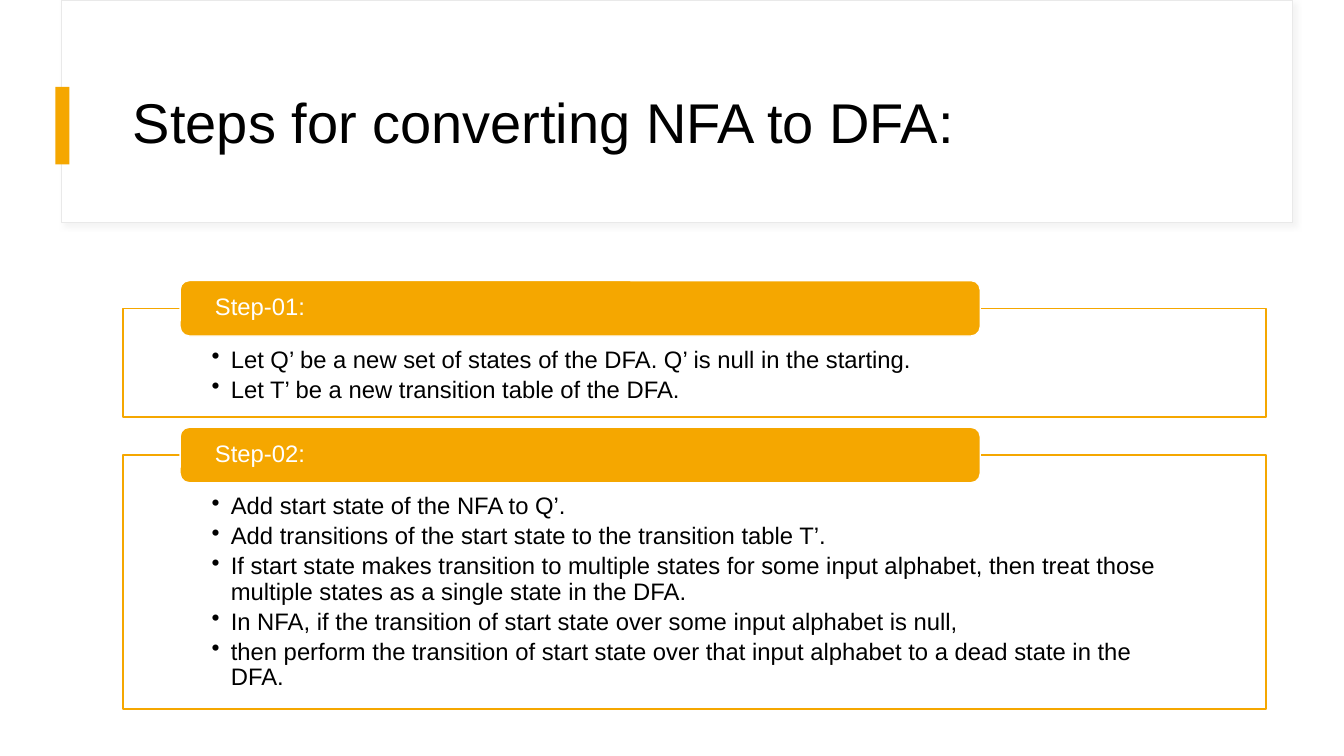
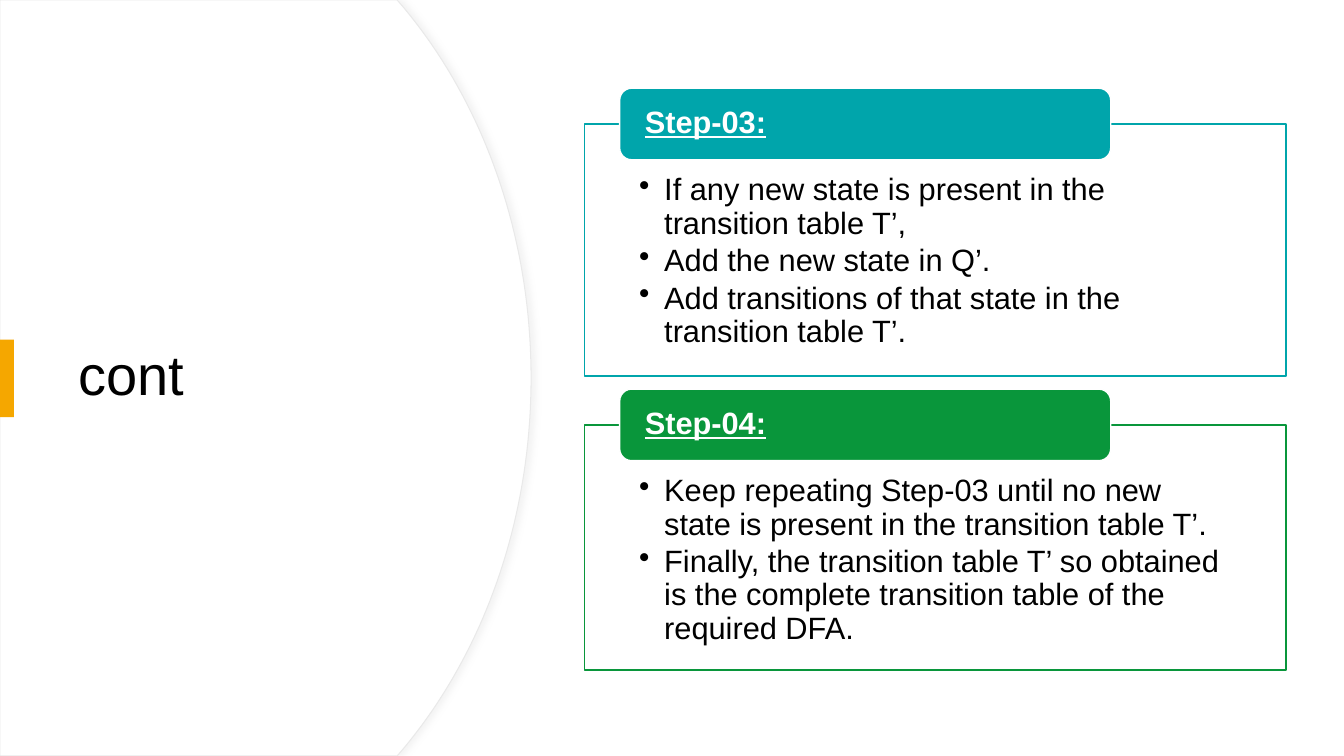
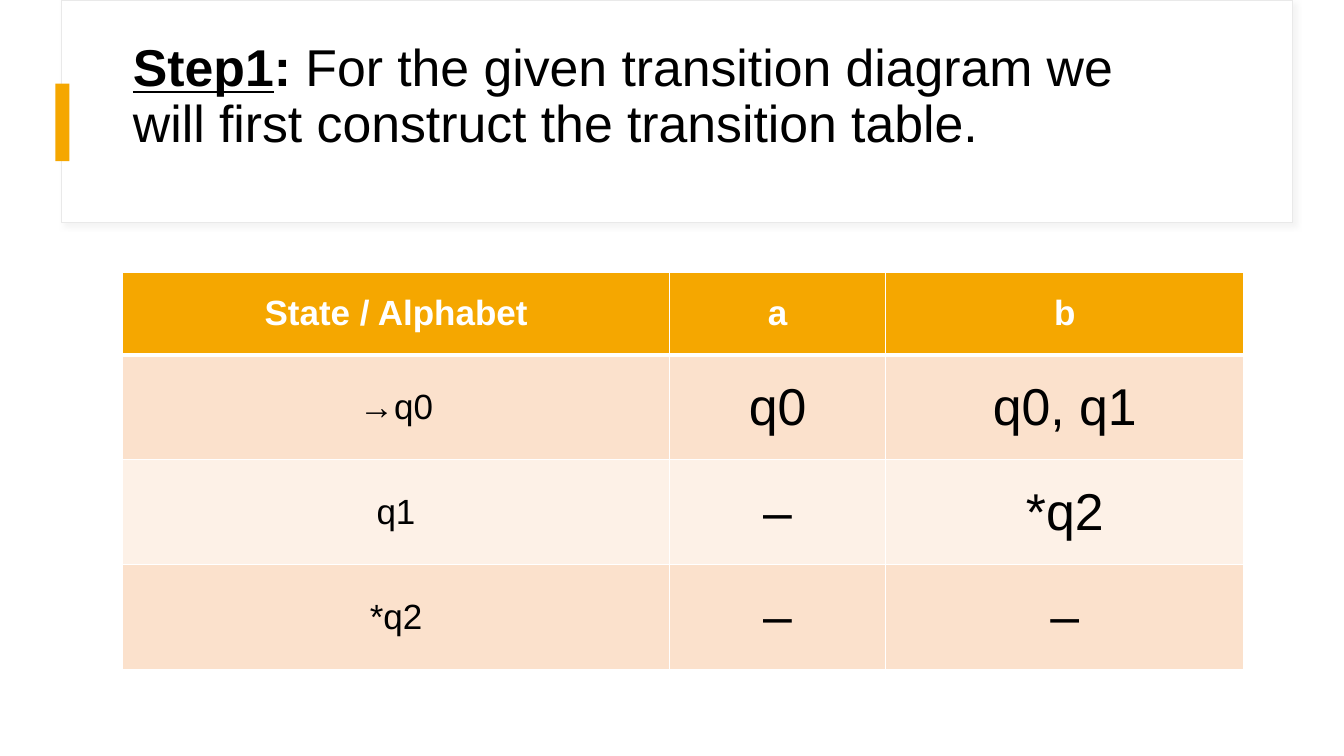
from lxml.etree import SubElement
from pptx import Presentation
from pptx.dml.color import RGBColor
from pptx.enum.shapes import MSO_SHAPE
from pptx.enum.text import MSO_ANCHOR, MSO_AUTO_SIZE, PP_ALIGN
from pptx.oxml import parse_xml
from pptx.oxml.ns import nsdecls, qn
from pptx.util import Pt

FONT = "Arial"
WHITE = RGBColor(0xFF, 0xFF, 0xFF)
BLACK = RGBColor(0x00, 0x00, 0x00)
ORANGE = RGBColor(0xF5, 0xA7, 0x00)
TEAL = RGBColor(0x00, 0xA5, 0xAB)
GREEN = RGBColor(0x09, 0x96, 0x3B)
EDGE = RGBColor(0xE9, 0xE9, 0xE9)
PEACH = RGBColor(0xFB, 0xE1, 0xCC)
PALE_PEACH = RGBColor(0xFD, 0xF1, 0xE7)

NBSP = chr(160)
SLIDE_WIDTH, SLIDE_HEIGHT = 960, 540
HEADER_BOX = (44, 0, 879, 159)
HEADER_TITLE_BOX = (87.8, 43.2, 800.6, 92.9)
SIDE_TITLE_BOX = (49, 91.4, 283.7, 356.4)

# Each title is a list of (text, bold, underline).
CONVERSION_TITLE = [("Steps for converting NFA to DFA:", False, False)]
CONTINUED_TITLE = [("cont", False, False)]
TABLE_TITLE = [
    ("Step1", True, True),
    (":" + NBSP, True, False),
    (f"For the given transition diagram we will{NBSP}first construct "
     "the transition table.", False, False),
]

# Each step is (label, colour, panel height, bullets).
FIRST_STEPS = [
    ("Step-01:", ORANGE, 77.8, [
        "Let Q’ be a new set of states of the DFA. Q’ is null in the starting.",
        "Let T’ be a new transition table of the DFA.",
    ]),
    ("Step-02:", ORANGE, 181.4, [
        "Add start state of the NFA to Q’.",
        "Add transitions of the start state to the transition table T’.",
        "If start state makes transition to multiple states for some input "
        "alphabet, then treat those multiple states as a single state in the DFA.",
        "In NFA, if the transition of start state over some input alphabet is null,",
        "then perform the transition of start state over that input alphabet "
        "to a dead state in the DFA.",
    ]),
]
LAST_STEPS = [
    ("Step-03:", TEAL, 180, [
        "If any new state is present in the transition table T’,",
        "Add the new state in Q’.",
        "Add transitions of that state in the transition table T’.",
    ]),
    ("Step-04:", GREEN, 175, [
        "Keep repeating Step-03 until no new state is present in the "
        "transition table T’.",
        "Finally, the transition table T’ so obtained is the complete "
        "transition table of the required DFA.",
    ]),
]
WIDE_STACK = dict(left=87.8, top=200.4, width=816.5, gap=7.2, tab_height=39.6,
                  size=17, indent=13.7, insets=(63.4, 28.1, 63.4, 9.4),
                  tab_inset=23, emphasis=False)
NARROW_STACK = dict(left=417.6, top=63, width=501.1, gap=9.4, tab_height=51.1,
                    size=22, indent=18, insets=(38.9, 36, 38.9, 12.2),
                    tab_inset=15.5, emphasis=True)

TRANSITIONS = [
    ("State / Alphabet", "a", "b"),
    ("→q0", "q0", "q0, q1"),
    ("q1", "–", "*q2"),
    ("*q2", "–", "–"),
]
COLUMN_WIDTHS = (390.2, 154.8, 255.6)
ROW_HEIGHTS = (59.1, 74.9, 74.9, 74.9)


def points(*lengths):
    return [Pt(length) for length in lengths]


def set_font(font, size, color, bold=False, underline=False):
    font.name, font.size = FONT, Pt(size)
    font.color.rgb = color
    font.bold, font.underline = bold, underline


def set_frame(frame, insets, anchor):
    frame.word_wrap = True
    frame.auto_size = MSO_AUTO_SIZE.NONE
    frame.vertical_anchor = anchor
    (frame.margin_left, frame.margin_top,
     frame.margin_right, frame.margin_bottom) = points(*insets)


def paint(shape, fill, line=None, width=1):
    shape.shadow.inherit = False
    shape.fill.solid()
    shape.fill.fore_color.rgb = fill
    if line is None:
        shape.line.fill.background()
    else:
        shape.line.color.rgb = line
        shape.line.width = Pt(width)


def paint_backdrop(shape, shadow_angle):
    """White surface with a pale edge and a faint shadow."""
    paint(shape, WHITE, EDGE, 0.75)
    effects = shape._element.spPr.find(qn("a:effectLst"))
    effects.append(parse_xml(
        f'<a:outerShdw {nsdecls("a")} blurRad="{Pt(4)}" dist="{Pt(3)}" '
        f'dir="{shadow_angle * 60000}" algn="tl" rotWithShape="0">'
        '<a:srgbClr val="D9D9D9"><a:alpha val="30000"/></a:srgbClr>'
        '</a:outerShdw>'))


def add_box(slide, kind, box, fill, line=None):
    shape = slide.shapes.add_shape(kind, *points(*box))
    paint(shape, fill, line)
    return shape


def add_title(slide, runs, box, size=40, bottom_inset=3.6):
    title = slide.shapes.title
    slide.shapes._spTree.append(title._element)  # bring in front of the backdrop
    title.left, title.top, title.width, title.height = points(*box)
    set_frame(title.text_frame, (7.2, 3.6, 7.2, bottom_inset), MSO_ANCHOR.MIDDLE)
    paragraph = title.text_frame.paragraphs[0]
    paragraph.alignment = PP_ALIGN.LEFT
    paragraph.line_spacing = 0.9
    for text, bold, underline in runs:
        run = paragraph.add_run()
        run.text = text
        set_font(run.font, size, BLACK, bold, underline)


def add_marker(slide, left, top):
    add_box(slide, MSO_SHAPE.RECTANGLE, (left, top, 10, 55.4), ORANGE)


def add_header(slide, runs, marker_top, **title_options):
    panel = add_box(slide, MSO_SHAPE.RECTANGLE, HEADER_BOX, WHITE)
    paint_backdrop(panel, 45)
    add_marker(slide, 39.6, marker_top)
    add_title(slide, runs, HEADER_TITLE_BOX, **title_options)


def bezier(start, control_1, control_2, end, steps=40):
    for step in range(1, steps + 1):
        t = step / steps
        weights = ((1 - t) ** 3, 3 * t * (1 - t) ** 2, 3 * t ** 2 * (1 - t), t ** 3)
        yield tuple(sum(weight * value for weight, value in zip(weights, axis))
                    for axis in zip(start, control_1, control_2, end))


def add_round_side(slide):
    """White area on the left, closed by an arc on its right."""
    upper = [(283.7, 0), (288.7, 5.8)]
    upper += bezier(upper[-1], (344.9, 73.4), (379.4, 167), (379.4, 270))
    lower = [(x, SLIDE_HEIGHT - y) for x, y in reversed(upper[:-1])]
    outline = upper + lower + [(0, SLIDE_HEIGHT)]
    builder = slide.shapes.build_freeform(0, 0)
    builder.add_line_segments([points(*point) for point in outline], close=True)
    paint_backdrop(builder.convert_to_shape(), 0)


def set_bullet(paragraph, indent):
    properties = paragraph._p.get_or_add_pPr()
    properties.set("marL", str(Pt(indent)))
    properties.set("indent", str(-Pt(indent)))
    SubElement(properties, qn("a:buChar")).set("char", "•")


def add_steps(slide, steps, left, top, width, gap, tab_height, size, indent,
              insets, tab_inset, emphasis):
    """Stack outlined panels, each with a tab straddling its top edge."""
    for label, color, height, bullets in steps:
        panel_top = top + tab_height / 2
        panel = add_box(slide, MSO_SHAPE.RECTANGLE,
                        (left, panel_top, width, height), WHITE, color)
        frame = panel.text_frame
        set_frame(frame, insets, MSO_ANCHOR.TOP)
        for index, bullet in enumerate(bullets):
            paragraph = frame.add_paragraph() if index else frame.paragraphs[0]
            paragraph.text = bullet
            paragraph.alignment = PP_ALIGN.LEFT
            paragraph.line_spacing = 0.9
            paragraph.space_after = Pt(3)
            set_font(paragraph.font, size, BLACK)
            set_bullet(paragraph, indent)

        tab = add_box(slide, MSO_SHAPE.ROUNDED_RECTANGLE,
                      (left + 0.05 * width, top, 0.7 * width, tab_height),
                      color, WHITE)
        set_frame(tab.text_frame, (tab_inset, 0, tab_inset, 0), MSO_ANCHOR.MIDDLE)
        paragraph = tab.text_frame.paragraphs[0]
        paragraph.text = label
        paragraph.alignment = PP_ALIGN.LEFT
        paragraph.line_spacing = 0.9
        set_font(paragraph.font, size, WHITE, emphasis, emphasis)
        top = panel_top + height + gap


def set_borders(cell, top, bottom):
    properties = cell._tc.get_or_add_tcPr()
    sides = (("lnL", 1), ("lnR", 1), ("lnT", top), ("lnB", bottom))
    for index, (side, width) in enumerate(sides):
        properties.insert(index, parse_xml(
            f'<a:{side} {nsdecls("a")} w="{Pt(width)}"><a:solidFill>'
            f'<a:srgbClr val="{WHITE}"/></a:solidFill></a:{side}>'))


def add_transition_table(slide):
    table = slide.shapes.add_table(
        len(TRANSITIONS), len(COLUMN_WIDTHS),
        *points(87.8, 194.4, sum(COLUMN_WIDTHS), sum(ROW_HEIGHTS))).table
    for column, width in zip(table.columns, COLUMN_WIDTHS):
        column.width = Pt(width)
    for row, height in zip(table.rows, ROW_HEIGHTS):
        row.height = Pt(height)
    for row, texts in enumerate(TRANSITIONS):
        header = row == 0
        fill = ORANGE if header else (PALE_PEACH, PEACH)[row % 2]
        for column, text in enumerate(texts):
            cell = table.cell(row, column)
            cell.fill.solid()
            cell.fill.fore_color.rgb = fill
            set_borders(cell, 3 if row == 1 else 1, 3 if header else 1)
            cell.vertical_anchor = MSO_ANCHOR.MIDDLE
            cell.margin_left = cell.margin_right = Pt(15)
            cell.margin_top = cell.margin_bottom = Pt(12)
            paragraph = cell.text_frame.paragraphs[0]
            paragraph.text = text
            paragraph.alignment = PP_ALIGN.CENTER
            set_font(paragraph.font, 25 if header or column == 0 else 37,
                     WHITE if header else BLACK, header)


def main():
    presentation = Presentation()
    presentation.slide_width, presentation.slide_height = points(
        SLIDE_WIDTH, SLIDE_HEIGHT)
    title_only = presentation.slide_layouts[5]

    slide = presentation.slides.add_slide(title_only)
    add_header(slide, CONVERSION_TITLE, marker_top=62)
    add_steps(slide, FIRST_STEPS, **WIDE_STACK)

    slide = presentation.slides.add_slide(title_only)
    add_round_side(slide)
    add_title(slide, CONTINUED_TITLE, SIDE_TITLE_BOX)
    add_marker(slide, 0, 242.6)
    add_steps(slide, LAST_STEPS, **NARROW_STACK)

    slide = presentation.slides.add_slide(title_only)
    add_header(slide, TABLE_TITLE, marker_top=59.8, size=37, bottom_inset=43.6)
    add_transition_table(slide)

    presentation.save("out.pptx")


if __name__ == "__main__":
    main()
